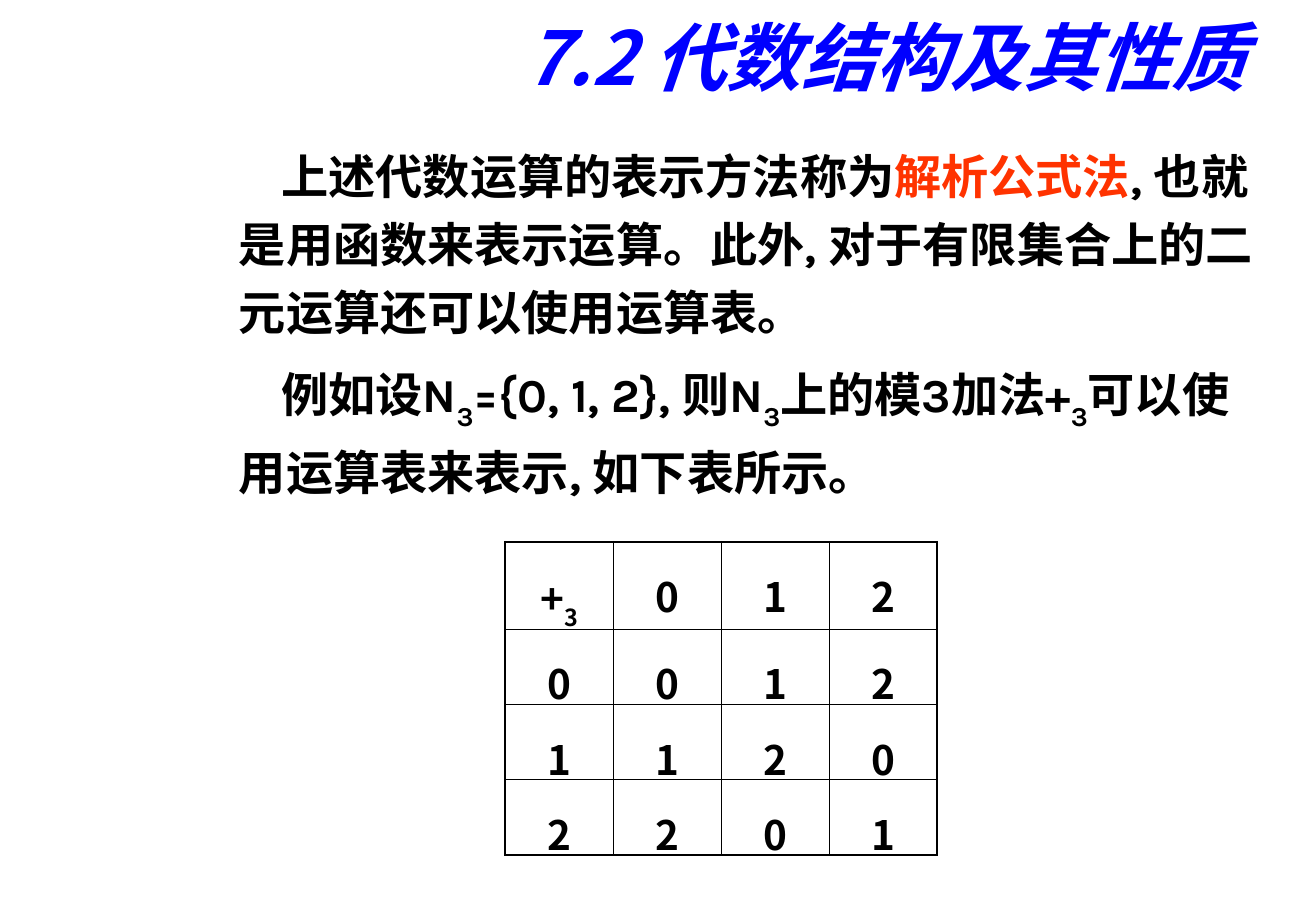
import pptx
import pptx.util
import pptx.dml.color
import pptx.enum.text
import pptx.oxml.ns
import lxml.etree

Inches = pptx.util.Inches
Pt = pptx.util.Pt
qn = pptx.oxml.ns.qn
CJK_FONT = "Noto Sans CJK SC"
BLACK, BLUE, ORANGE = "000000", "0000FF", "FF3300"


def style_run(run, size, color, latin=CJK_FONT, baseline=0):
    run.font.size = Pt(size)
    run.font.bold = True
    run.font.name = latin
    run.font.color.rgb = pptx.dml.color.RGBColor.from_string(color)
    properties = run.font._element
    lxml.etree.SubElement(properties, qn("a:ea")).set("typeface", CJK_FONT)
    if baseline:
        properties.set("baseline", str(baseline * 1000))


def add_border(cell, position, side, width):
    line = lxml.etree.Element(qn(f"a:ln{side}"), w=str(Pt(width)))
    fill = lxml.etree.SubElement(line, qn("a:solidFill"))
    lxml.etree.SubElement(fill, qn("a:srgbClr")).set("val", BLACK)
    cell._tc.get_or_add_tcPr().insert(position, line)


presentation = pptx.Presentation()
presentation.slide_width = Inches(10.84)
presentation.slide_height = Inches(7.5)
slide = presentation.slides.add_slide(presentation.slide_layouts[5])

title = slide.shapes.title
title.left, title.top = Inches(2.03), Inches(0.08)
title.width, title.height = Inches(8.34), Inches(0.76)
title.text_frame.text = "7.2 代数结构及其性质"
title.text_frame.auto_size = pptx.enum.text.MSO_AUTO_SIZE.NONE
title.text_frame.vertical_anchor = pptx.enum.text.MSO_ANCHOR.MIDDLE
heading = title.text_frame.paragraphs[0]
heading.alignment = pptx.enum.text.PP_ALIGN.RIGHT
style_run(heading.runs[0], 44, BLUE)
heading.runs[0].font.italic = True

explanation = slide.shapes.add_textbox(Inches(1.87), Inches(1.07), Inches(8.58), Inches(3.15)).text_frame
explanation.word_wrap = True
explanation_parts = [
    [
        ("上述代数运算的表示方法称为", BLACK, 0),
        ("解析公式法", ORANGE, 0),
        (", 也就是用函数来表示运算。此外, 对于有限集合上的二元运算还可以使用运算表。", BLACK, 0),
    ],
    [
        ("例如设N", BLACK, 0),
        ("3", BLACK, -30),
        ("={0, 1, 2}, 则N", BLACK, 0),
        ("3", BLACK, -30),
        ("上的模3加法+", BLACK, 0),
        ("3", BLACK, -30),
        ("可以使用运算表来表示, 如下表所示。", BLACK, 0),
    ],
]
explanation.add_paragraph()
for paragraph, parts in zip(explanation.paragraphs, explanation_parts):
    paragraph.line_spacing = 1.2
    paragraph.space_before = Pt(7)
    paragraph._p.get_or_add_pPr().set("indent", str(Inches(0.35)))
    for text, color, baseline in parts:
        run = paragraph.add_run()
        run.text = text
        style_run(run, 28, color, "Karla", baseline)

modulus = 3
size = modulus + 1
operation_table = slide.shapes.add_table(
    size, size, Inches(4.16), Inches(4.46), Inches(3.54), Inches(2.58)
).table
operation_table.first_row = False
operation_table.horz_banding = False
for column in operation_table.columns:
    column.width = Inches(0.89)
for index, row in enumerate(operation_table.rows):
    row.height = Inches(0.62 if index else 0.72)

for row in range(size):
    for column in range(size):
        cell = operation_table.cell(row, column)
        cell.fill.background()
        outer_sides = {"L": column == 0, "R": column == modulus, "T": row == 0, "B": row == modulus}
        for position, (side, is_outer) in enumerate(outer_sides.items()):
            add_border(cell, position, side, 1.08 if is_outer else 0.45)
        paragraph = cell.text_frame.paragraphs[0]
        paragraph.alignment = pptx.enum.text.PP_ALIGN.CENTER
        paragraph.line_spacing = 1.3
        paragraph.space_before = Pt(6)
        if row == 0 and column == 0:
            parts = [("+", 0), (str(modulus), -30)]
        else:
            total = max(row - 1, 0) + max(column - 1, 0)
            parts = [(str(total % modulus), 0)]
        for text, baseline in parts:
            run = paragraph.add_run()
            run.text = text
            style_run(run, 24, BLACK, baseline=baseline)

presentation.save("out.pptx")
